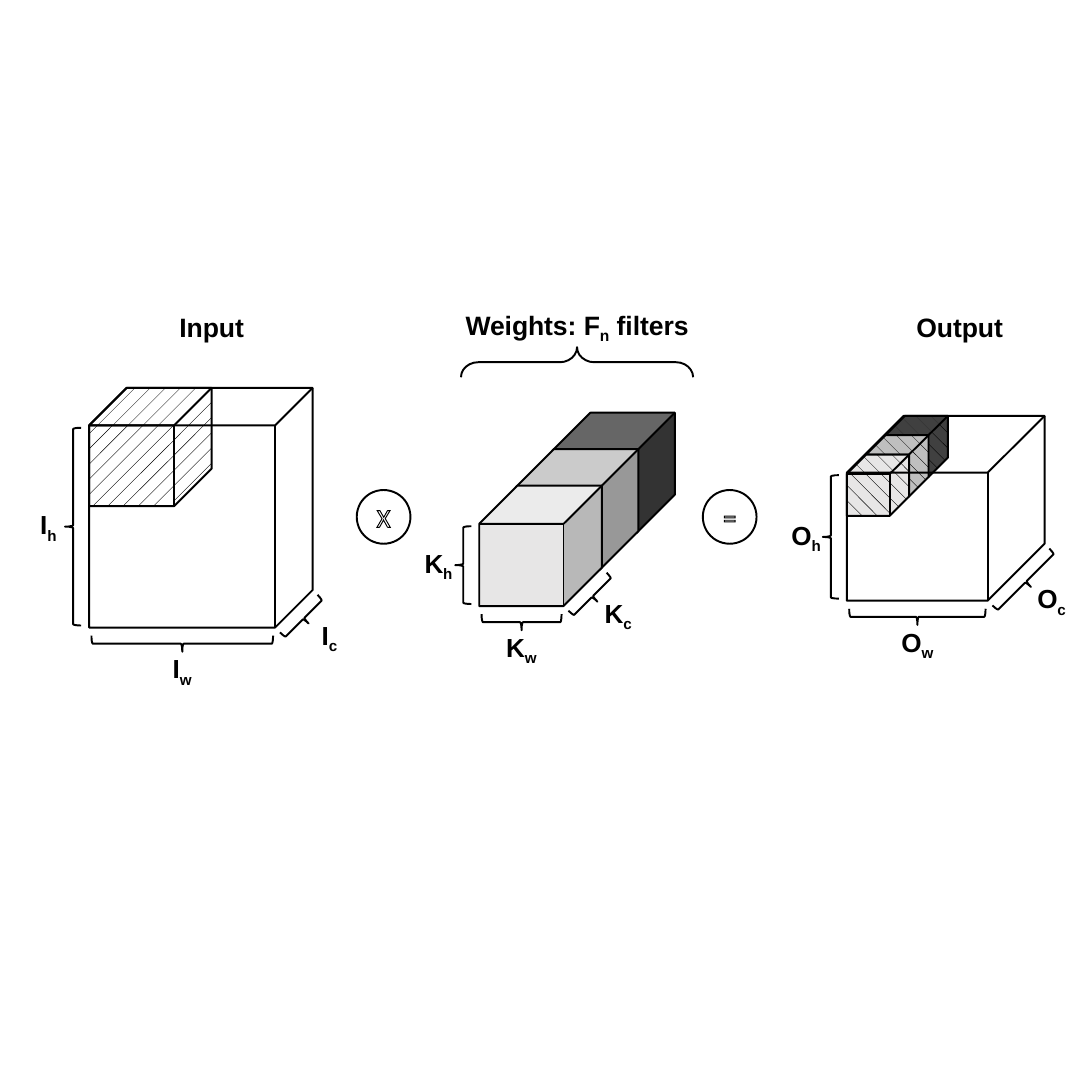
from lxml import etree
from pptx import Presentation
from pptx.dml.color import RGBColor
from pptx.enum.dml import MSO_PATTERN
from pptx.enum.shapes import MSO_SHAPE
from pptx.enum.text import MSO_ANCHOR, PP_ALIGN
from pptx.oxml import parse_xml
from pptx.oxml.ns import nsdecls
from pptx.util import Cm, Pt

CUBE, BRACE, ELLIPSE = MSO_SHAPE.CUBE, MSO_SHAPE.RIGHT_BRACE, MSO_SHAPE.OVAL
UPWARD = MSO_PATTERN.WIDE_UPWARD_DIAGONAL
DOWNWARD = MSO_PATTERN.WIDE_DOWNWARD_DIAGONAL
CENTER, MIDDLE = PP_ALIGN.CENTER, MSO_ANCHOR.MIDDLE

BLACK, WHITE = "000000", "FFFFFF"
FILTER_COLORS = ["404040", "BFBFBF", "E7E6E6"]
FILTER_DEPTH = 0.317
TITLE_Y = 3.04
OPERATOR_Y = 4.81


def color(hex_string):
    """Return the colour for a hex string."""
    return RGBColor.from_string(hex_string)


def add_outline(slide, kind, box, fill=None, pattern=None, rotation=0):
    """Add a black-lined preset shape with an optional solid or hatched fill."""
    shape = slide.shapes.add_shape(kind, *(Cm(value) for value in box))
    shape.shadow.inherit = False
    shape.rotation = rotation
    shape.line.color.rgb = color(BLACK)
    shape.line.width = Pt(0.5)
    if pattern:
        shape.fill.patterned()
        shape.fill.pattern = pattern
        shape.fill.fore_color.rgb = color(BLACK)
        shape.fill.back_color.rgb = color(fill)
    elif fill:
        shape.fill.solid()
        shape.fill.fore_color.rgb = color(fill)
    else:
        shape.fill.background()
    return shape


def add_cube(slide, box, depth, fill=None, pattern=None):
    """Add a cube whose depth is a share of its shorter side."""
    cube = add_outline(slide, CUBE, box, fill, pattern)
    cube.adjustments[0] = depth


def add_brace(slide, x, y, length, thickness, rotation):
    """Add a brace centred on a point."""
    box = (x - thickness / 2, y - length / 2, thickness, length)
    return add_outline(slide, BRACE, box, rotation=rotation)


def write(shape, parts, size, font_name, hex_string, bold):
    """Write centred text in which every second part is a subscript."""
    frame = shape.text_frame
    frame.margin_left = frame.margin_right = 0
    frame.margin_top = frame.margin_bottom = 0
    frame.vertical_anchor = MIDDLE
    frame.word_wrap = True
    paragraph = frame.paragraphs[0]
    paragraph.alignment = CENTER
    font = paragraph.font
    font.size, font.name, font.bold = Pt(size), font_name, bold
    font.color.rgb = color(hex_string)
    for index, part in enumerate(parts):
        run = paragraph.add_run()
        run.text = part
        if index % 2:
            run.font._element.set("baseline", "-25000")
    return paragraph


def add_label(slide, x, y, parts, width=0.8, height=0.56, size=6.9):
    """Add a bold label centred on a point."""
    box = (x - width / 2, y - height / 2, width, height)
    label = slide.shapes.add_textbox(*(Cm(value) for value in box))
    write(label, parts, size, "Arial", BLACK, True)


def add_title(slide, x, parts):
    """Add the title of a region."""
    add_label(slide, x, TITLE_Y, parts, width=2.3, height=0.3, size=7)


def add_dimensions(slide, letter, box, depth):
    """Brace and label the height, width and channels of a cube."""
    left, top, width, height = box
    offset = depth * min(width, height)
    front_width, front_height = width - offset, height - offset
    right, bottom = left + width, top + height
    dimensions = [
        ("h", left - 0.15, bottom - front_height / 2, front_height - 0.04,
         0.15, 180, -0.23, 0),
        ("w", left + front_width / 2, bottom + 0.15, front_width - 0.04,
         0.15, 90, 0, 0.25),
        ("c", right - offset / 2 + 0.09, bottom - offset / 2 + 0.09,
         offset * 2 ** 0.5, 0.13, 45, 0.24, 0.17),
    ]
    for name, x, y, length, thickness, rotation, shift_x, shift_y in dimensions:
        add_brace(slide, x, y, length, thickness, rotation)
        add_label(slide, x + shift_x, y + shift_y, [letter, name])


def add_filters(slide, box, side_width, side_height, pattern=None):
    """Stack the filter cubes diagonally from back to front across a box."""
    left, top, width, height = box
    last = len(FILTER_COLORS) - 1
    step_x, step_y = (width - side_width) / last, (height - side_height) / last
    for index, fill in enumerate(FILTER_COLORS):
        cube_box = (left + (last - index) * step_x, top + index * step_y,
                    side_width, side_height)
        add_cube(slide, cube_box, FILTER_DEPTH, fill, pattern)
    return cube_box


def add_input(slide, box):
    """Draw the input volume with its hatched receptive field."""
    left, top, width, height = box
    depth = 0.168
    add_cube(slide, (left, top, 1.14, 1.1), FILTER_DEPTH, WHITE, UPWARD)
    add_cube(slide, box, depth)
    add_dimensions(slide, "I", box, depth)
    add_title(slide, left + width / 2 + 0.1, ["Input"])


def add_weights(slide, box):
    """Draw the row of filters under its braced title."""
    left, top, width, height = box
    front_box = add_filters(slide, box, 1.14, 1.12)
    add_dimensions(slide, "K", front_box, FILTER_DEPTH)
    middle = left + width / 2
    brace = add_brace(slide, middle, top - 0.47, 2.16, 0.28, 270)
    brace.adjustments[0] = 0.571
    add_title(slide, middle, ["Weights: F", "n", " filters"])


def add_output(slide, box):
    """Draw the output volume with its hatched filter responses."""
    left, top, width, height = box
    depth = 0.308
    add_filters(slide, (left, top, 0.94, 0.93), 0.58, 0.57, DOWNWARD)
    add_cube(slide, box, depth)
    add_dimensions(slide, "O", box, depth)
    add_title(slide, left + width / 2 + 0.13, ["Output"])


def add_operator(slide, x, symbol, diameter=0.5):
    """Draw a circled operator with outlined text."""
    box = (x - diameter / 2, OPERATOR_Y - diameter / 2, diameter, diameter)
    circle = add_outline(slide, ELLIPSE, box)
    paragraph = write(circle, [symbol], 6.9, "Calibri", WHITE, False)
    line = parse_xml(f'<a:ln {nsdecls("a")} w="9525"/>')
    fill = etree.SubElement(line, line.tag.replace("}ln", "}solidFill"))
    etree.SubElement(fill, line.tag.replace("}ln", "}srgbClr"), val=BLACK)
    paragraph.runs[0].font._element.insert(0, line)


def main():
    """Build the convolution slide."""
    presentation = Presentation()
    presentation.slide_width = presentation.slide_height = Cm(10.16)
    slide = presentation.slides.add_slide(presentation.slide_layouts[6])
    add_operator(slide, 3.57, "X")
    add_operator(slide, 6.79, "=")
    add_weights(slide, (4.46, 3.84, 1.82, 1.8))
    add_input(slide, (0.83, 3.61, 2.08, 2.23))
    add_output(slide, (7.88, 3.87, 1.84, 1.72))
    presentation.save("out.pptx")


main()
